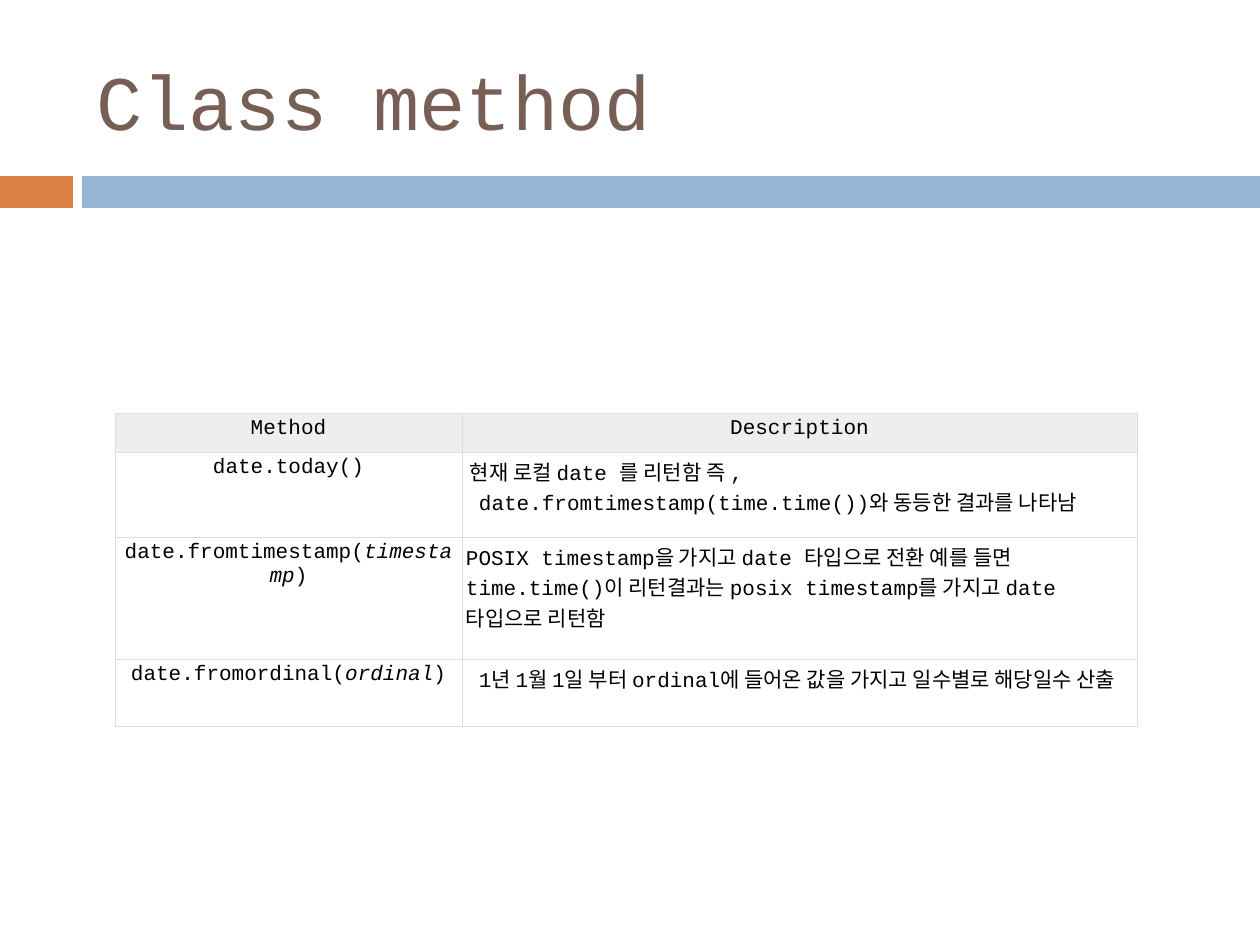
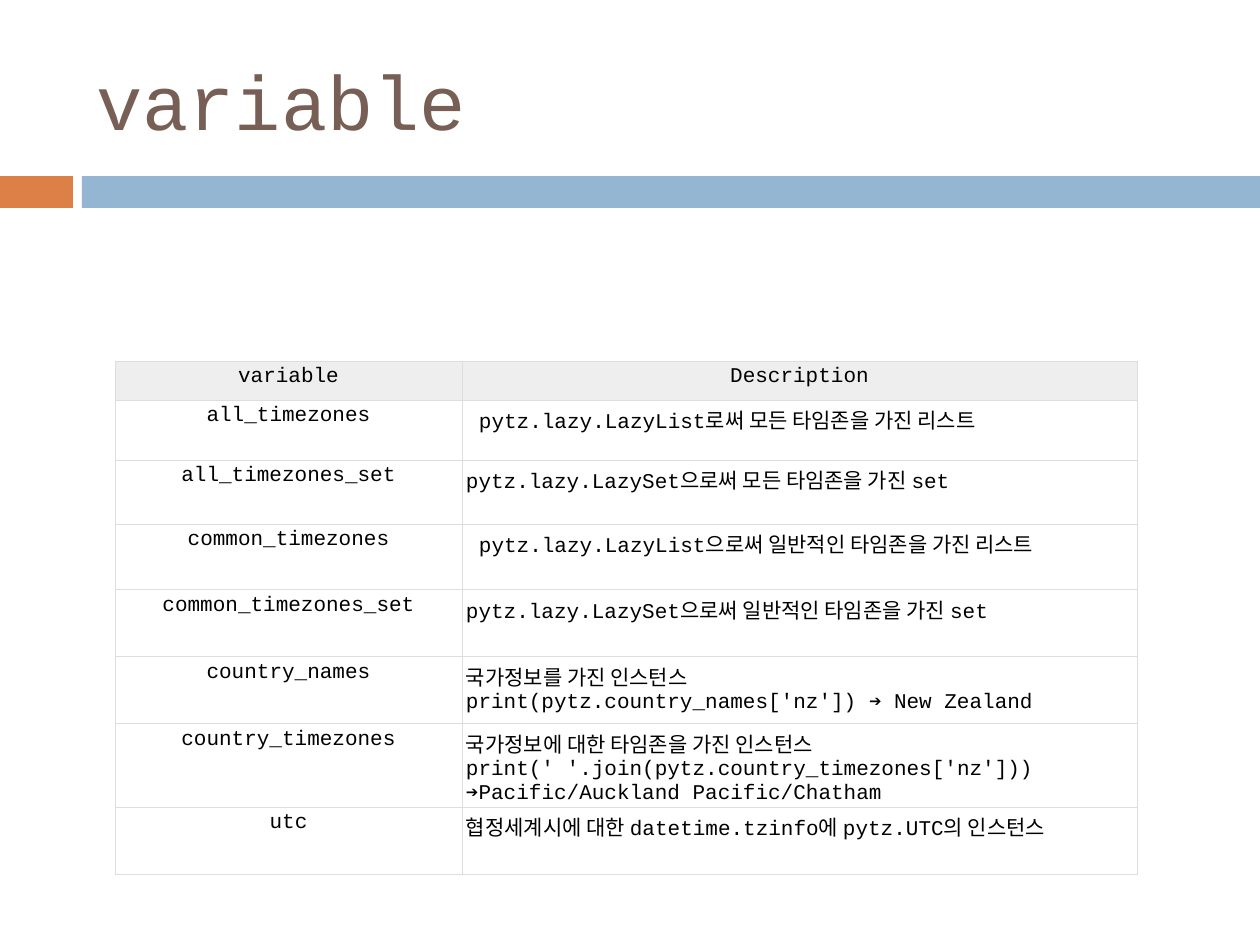
import dataclasses
import typing

import pptx
import pptx.dml.color
import pptx.enum.shapes
import pptx.enum.text
import pptx.oxml.ns
import pptx.util
from lxml import etree

SCALE = 914400 / 126  # EMU in one px
ALIGN = pptx.enum.text.PP_ALIGN
MIDDLE = pptx.enum.text.MSO_ANCHOR.MIDDLE


@dataclasses.dataclass(frozen=True)
class Theme:
    face: str = "Courier New"
    title: str = "775F55"
    text: str = "000000"
    head: str = "EEEEEE"
    rule: str = "DDDDDD"
    big: int = 44
    small: int = 12
    edge: float = 0.6


class Band(typing.NamedTuple):
    left: int
    width: int
    color: str


class Entry(typing.NamedTuple):
    name: str  # text between bars is italic
    note: str  # one paragraph a line
    tall: int
    first: int = 0  # indent of the first line
    rest: int = 0  # indent of the wrapped lines


class Page(typing.NamedTuple):
    title: str
    top: int
    head: str
    rows: list[Entry]


THEME = Theme()
BANDS = [Band(0, 73, "DD8047"), Band(82, 1178, "94B6D2")]
COLS = (347, 675)
LEFT = 115
HEAD = 39
PAD = 4

PAGES = [
    Page("Class method", 413, "Method", [
        Entry("date.today()",
              "현재 로컬 date 를 리턴함 즉 , date.fromtimestamp(time.time())와 동등한 결과를 나타남",
              85, 4, 13),
        Entry("date.fromtimestamp(|timestamp|)",
              "POSIX timestamp을 가지고 date 타입으로 전환 예를 들면 time.time()이 리턴결과는 "
              "posix timestamp를 가지고 date 타입으로 리턴함", 122),
        Entry("date.fromordinal(|ordinal|)",
              "1년 1월 1일 부터 ordinal에 들어온 값을 가지고 일수별로 해당일수 산출", 67, 13),
    ]),
    Page("variable", 361, "variable", [
        Entry("all_timezones", "pytz.lazy.LazyList로써 모든 타임존을 가진 리스트", 60, 13),
        Entry("all_timezones_set", "pytz.lazy.LazySet으로써 모든 타임존을 가진 set", 64),
        Entry("common_timezones", "pytz.lazy.LazyList으로써 일반적인 타임존을 가진 리스트", 66, 13),
        Entry("common_timezones_set", "pytz.lazy.LazySet으로써 일반적인 타임존을 가진 set", 67),
        Entry("country_names",
              "국가정보를 가진 인스턴스\nprint(pytz.country_names['nz']) ➔ New Zealand", 67),
        Entry("country_timezones",
              "국가정보에 대한 타임존을 가진 인스턴스\n"
              "print(' '.join(pytz.country_timezones['nz']))\n"
              "➔Pacific/Auckland Pacific/Chatham", 67),
        Entry("utc", "협정세계시에 대한 datetime.tzinfo에 pytz.UTC의 인스턴스", 67),
    ]),
]


def px(size: int) -> int:
    return round(size * SCALE)


def rgb(color: str) -> pptx.dml.color.RGBColor:
    return pptx.dml.color.RGBColor.from_string(color)


def apply(item: typing.Any, form: dict[str, typing.Any]) -> None:
    for key, value in form.items():
        setattr(item, key, value)


def style(run: typing.Any, size: int, color: str, italic: bool = False) -> None:
    apply(run.font, {"name": THEME.face, "size": pptx.util.Pt(size),
                     "bold": False, "italic": italic})
    run.font.color.rgb = rgb(color)


def frame(cell: typing.Any) -> None:
    """Draw thin lines on the four sides of a cell."""
    props = cell._tc.get_or_add_tcPr()
    qn = pptx.oxml.ns.qn
    for side in "LRTB":
        line = etree.SubElement(props, qn(f"a:ln{side}"),
                                w=str(pptx.util.Pt(THEME.edge)))
        fill = etree.SubElement(line, qn("a:solidFill"))
        etree.SubElement(fill, qn("a:srgbClr"), val=THEME.rule)


def write(cell: typing.Any, text: str, align: typing.Any,
          color: str = "", first: int = 0, rest: int = 0) -> None:
    frame(cell)
    if color:
        cell.fill.solid()
        cell.fill.fore_color.rgb = rgb(color)
    else:
        cell.fill.background()
    apply(cell, {f"margin_{side}": px(PAD)
                 for side in ("left", "right", "top", "bottom")})
    body = cell.text_frame
    for spot, line in enumerate(text.split("\n")):
        para = body.add_paragraph() if spot else body.paragraphs[0]
        para.alignment = align
        if first or rest:
            props = para._p.get_or_add_pPr()
            props.set("marL", str(px(rest)))
            props.set("indent", str(px(first - rest)))
        for turn, part in enumerate(line.split("|")):
            run = para.add_run()
            run.text = part
            style(run, THEME.small, THEME.text, turn % 2 == 1)


def bands(slide: typing.Any) -> None:
    for band in BANDS:
        shape = slide.shapes.add_shape(
            pptx.enum.shapes.MSO_SHAPE.RECTANGLE,
            px(band.left), px(176), px(band.width), px(32))
        shape.shadow.inherit = False
        shape.fill.solid()
        shape.fill.fore_color.rgb = rgb(band.color)
        shape.line.fill.background()


def title(slide: typing.Any, text: str) -> None:
    box = slide.shapes.add_textbox(px(84), px(32), px(1124), px(136))
    apply(box.text_frame, {"word_wrap": True, "vertical_anchor": MIDDLE})
    run = box.text_frame.paragraphs[0].add_run()
    run.text = text
    style(run, THEME.big, THEME.title)


def grid(slide: typing.Any, page: Page) -> None:
    talls = [HEAD] + [row.tall for row in page.rows]
    table = slide.shapes.add_table(
        len(talls), len(COLS), px(LEFT), px(page.top),
        px(sum(COLS)), px(sum(talls))).table
    apply(table, {"first_row": False, "horz_banding": False})
    for col, wide in zip(table.columns, COLS):
        col.width = px(wide)
    for row, tall in zip(table.rows, talls):
        row.height = px(tall)
    # Header row
    for spot, text in enumerate((page.head, "Description")):
        write(table.cell(0, spot), text, ALIGN.CENTER, THEME.head)
    # Body rows
    for spot, row in enumerate(page.rows, 1):
        write(table.cell(spot, 0), row.name, ALIGN.CENTER)
        write(table.cell(spot, 1), row.note, ALIGN.LEFT,
              first=row.first, rest=row.rest)


def main() -> None:
    deck = pptx.Presentation()
    apply(deck, {"slide_width": px(1260), "slide_height": px(945)})
    for page in PAGES:
        slide = deck.slides.add_slide(deck.slide_layouts[6])
        bands(slide)
        title(slide, page.title)
        grid(slide, page)
    deck.save("out.pptx")


if __name__ == "__main__":
    main()
